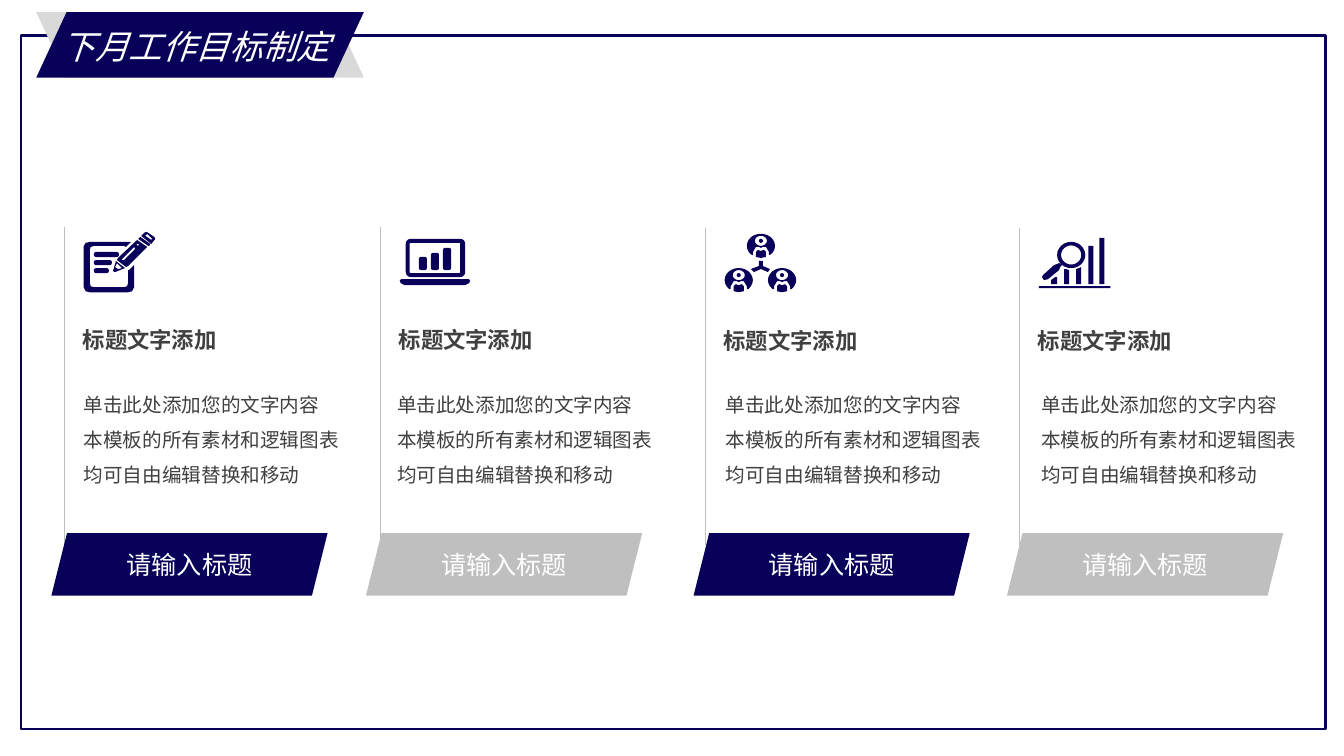
from math import cos, sin, radians
from lxml.etree import SubElement
from pptx import Presentation
from pptx.dml.color import RGBColor as RGB
from pptx.enum.shapes import MSO_CONNECTOR as LINK, MSO_SHAPE as SHAPE
from pptx.enum.text import MSO_ANCHOR as ANCHOR, MSO_AUTO_SIZE as AUTO, PP_ALIGN as ALIGN
from pptx.oxml.ns import qn
from pptx.util import Pt

HEX = {"navy": "080059", "pale": "D9D9D9", "gray": "BFBFBF", "dark": "404040", "white": "FFFFFF"}
COLOR = {name: RGB.from_string(code) for name, code in HEX.items()}
NOTO = "Noto Sans CJK SC"


def oval(x, y, rx, ry, start=0, end=360):
    """Points along an elliptic arc round (x, y)."""
    return [(x + rx * cos(radians(a)), y + ry * sin(radians(a)))
            for a in range(start, end + 1, 15)]


def block(x, y, w, h, r):
    """Points of a rectangle with corner radius r."""
    left, right, top, base = x + r, x + w - r, y + r, y + h - r
    return (oval(right, top, r, r, -90, 0) + oval(right, base, r, r, 0, 90)
            + oval(left, base, r, r, 90, 180) + oval(left, top, r, r, 180, 270))


# Icon outlines, on a grid of 0.72 pt
note = [
    [(47, 10), (6, 10), (2, 11), (0, 14), (0, 55), (2, 59), (6, 60), (44, 60), (48, 59),
     (50, 55), (50, 33), (45, 38), (44, 38), (44, 51), (43, 54), (40, 55), (10, 55),
     (7, 54), (6, 51), (6, 18), (7, 15), (10, 14), (40, 14), (42, 15)],
    block(10, 20, 25, 5, 2.5), block(10, 28, 18, 5, 2.5), block(10, 36, 15, 5, 2.5),
    [(32, 29), (41, 36), (31, 40), (29, 39)],
    [(33, 31), (31, 35), (34, 37), (38, 36)],
    [(53, 8), (63, 15), (61, 17), (44, 34), (42, 35), (33, 28), (34, 26), (52, 9)],
    [(50, 15), (51, 17), (40, 28), (38, 28), (38, 27)],
    [(53, 12), (55, 12), (54, 14), (52, 13)],
    [(56, 5), (66, 12), (65, 14), (64, 14), (54, 7)],
    [(62, 0), (64, 1), (70, 5), (71, 7), (67, 12), (57, 4), (60, 1)],
    [(63, 2), (61, 4), (67, 8), (68, 7)],
]
laptop = [
    [(2, 40), (68, 40), (70, 41), (69, 44), (65, 46), (5, 46), (1, 44), (0, 41)],
    block(6, 0, 59, 38, 5), block(10, 4, 50, 30, 1),
    block(19, 18, 8, 13, 2), block(31, 14, 8, 17, 2), block(43, 9, 8, 22, 2),
]
team = [[(34, 27), (38, 27), (38, 32), (45, 35), (43, 38), (36, 35), (29, 38), (26, 35), (34, 32)]]
coat = [(8, 9), (8, 6), (5, 1), (2, 1), (0, 2), (-2, 1), (-5, 1), (-8, 6), (-8, 9)]
shirt = [(-3, 4), (0, 5), (3, 4), (5, 6), (5, 11), (0, 12), (-5, 11), (-5, 6)]
for x, y in [(36, 12), (14, 46), (57, 46)]:
    team += [[(x + a, y + b) for a, b in coat] + oval(x, y, 14, 12, 135, 405),
             [(x + a, y + b) for a, b in shirt],
             oval(x, y - 5, 6, 5), oval(x, y - 5, 2, 2)]
chart = [
    [(0, 48), (71, 48), (71, 50), (0, 50)],
    [(16, 39), (18, 39), (18, 46), (12, 46), (12, 42)],
    [(25, 31), (27, 31), (30, 32), (30, 46), (25, 46)],
    [(42, 29), (42, 46), (37, 46), (37, 31)],
    [(49, 8), (54, 8), (54, 46), (49, 46)],
    [(60, 0), (65, 0), (65, 46), (60, 46)],
    oval(32, 17, 14, 13), oval(32, 17, 10, 9.5),
    [(20, 25), (23, 27), (21, 29), (20, 32), (9, 41), (5, 42), (3, 39), (4, 37), (15, 27), (18, 26)],
]

# Columns: rule x, rule y, body x, chip x, chip color, icon, icon y
columns = [
    (45.9, 162, 52.6, 36.7, "navy", note, 165.6),
    (271.6, 162, 276.5, 261.4, "gray", laptop, 170.6),
    (503.7, 162.7, 511.2, 495.4, "navy", team, 167),
    (728.2, 162.7, 736.6, 719.3, "gray", chart, 169.9),
]
intro = "单击此处添加您的文字内容"
first, second = "本模板的所有素材和逻辑图表", "均可自由编辑替换和移动"

deck = Presentation()
deck.slide_width, deck.slide_height = Pt(960), Pt(540)
slide = deck.slides.add_slide(deck.slide_layouts[5])
shapes = slide.shapes
texts = []  # shape, lines, size, color, font, bold, italic, align, spacing

# Frame
frame = shapes.add_shape(SHAPE.RECTANGLE, Pt(15.1), Pt(25.2), Pt(931.7), Pt(495.4))
frame.shadow.inherit = False
frame.fill.background()
frame.line.color.rgb = COLOR["navy"]
frame.line.width = Pt(1.75)

# Column rules, icons, headings and body text
for x, y, body_x, chip_x, tint, icon, icon_y in columns:
    rule = shapes.add_connector(LINK.STRAIGHT, Pt(x), Pt(y), Pt(x), Pt(y + 226.8))
    rule.line.color.rgb = COLOR["gray"]
    rule.line.width = Pt(0.5)
    SubElement(rule._element.spPr, qn("a:effectLst"))

    pen = shapes.build_freeform(scale=Pt(0.072))
    for path in icon:
        dots = [(a * 10, b * 10) for a, b in path]
        pen.move_to(*dots[0])
        pen.add_line_segments(dots[1:], close=True)
    art = pen.convert_to_shape(Pt(x + 13.9), Pt(icon_y))
    art.shadow.inherit = False
    art.fill.solid()
    art.fill.fore_color.rgb = COLOR["navy"]
    art.line.fill.background()

    head = shapes.add_textbox(Pt(x + 6.1), Pt(y + 67.2), Pt(157), Pt(26.6))
    texts.append((head, ["标题文字添加"], 16, "dark", NOTO, True, False, ALIGN.LEFT, 1))
    body = shapes.add_textbox(Pt(body_x), Pt(268.6), Pt(200.2), Pt(80.6))
    lines = [intro, first, second] if icon is chart else [intro, first + second]
    texts.append((body, lines, 14, "dark", NOTO, False, False, ALIGN.LEFT, 1.5))

# Title ribbon and column chips
bands = [(25.9, 8.6, 234, 46.8, 0.463, "pale", ""), (25.9, 8.6, 234, 46.8, 0.463, "navy", "")]
bands += [(c[3], 380.9, 197.3, 44.6, 0.25, c[4], "请输入标题") for c in columns]
for x, y, w, h, slant, tint, label in bands:
    band = shapes.add_shape(SHAPE.PARALLELOGRAM, Pt(x), Pt(y), Pt(w), Pt(h))
    band.adjustments[0] = slant
    band.shadow.inherit = False
    band.fill.solid()
    band.fill.fore_color.rgb = COLOR[tint]
    band.line.fill.background()
    if tint == "pale":
        band._element.spPr.find(qn("a:xfrm")).set("flipH", "1")
    if label:
        texts.append((band, [label], 18, "white", "Arial", False, False, ALIGN.CENTER, 1))

# Title, in front of its ribbon
title = shapes.title
title.left, title.top, title.width, title.height = Pt(36.7), Pt(15.1), Pt(208), Pt(36)
shapes._spTree.append(title._element)
texts.append((title, ["下月工作目标制定"], 24, "white", "Arial", False, True, ALIGN.LEFT, 1))

# Wording and type
for shape, lines, size, color, font, bold, italic, align, space in texts:
    box = shape.text_frame
    box.text = "\n".join(lines)
    box.auto_size = AUTO.NONE
    box.word_wrap = shape is not title
    box.vertical_anchor = ANCHOR.MIDDLE if align == ALIGN.CENTER else ANCHOR.TOP
    for para in box.paragraphs:
        para.alignment = align
        para.line_spacing = space
        para.font.size = Pt(size)
        para.font.bold, para.font.italic = bold, italic
        para.font.color.rgb = COLOR[color]
        para.font.name = font
        props = para._p.pPr.find(qn("a:defRPr"))
        SubElement(props, qn("a:ea")).set("typeface", NOTO)

deck.save("out.pptx")
